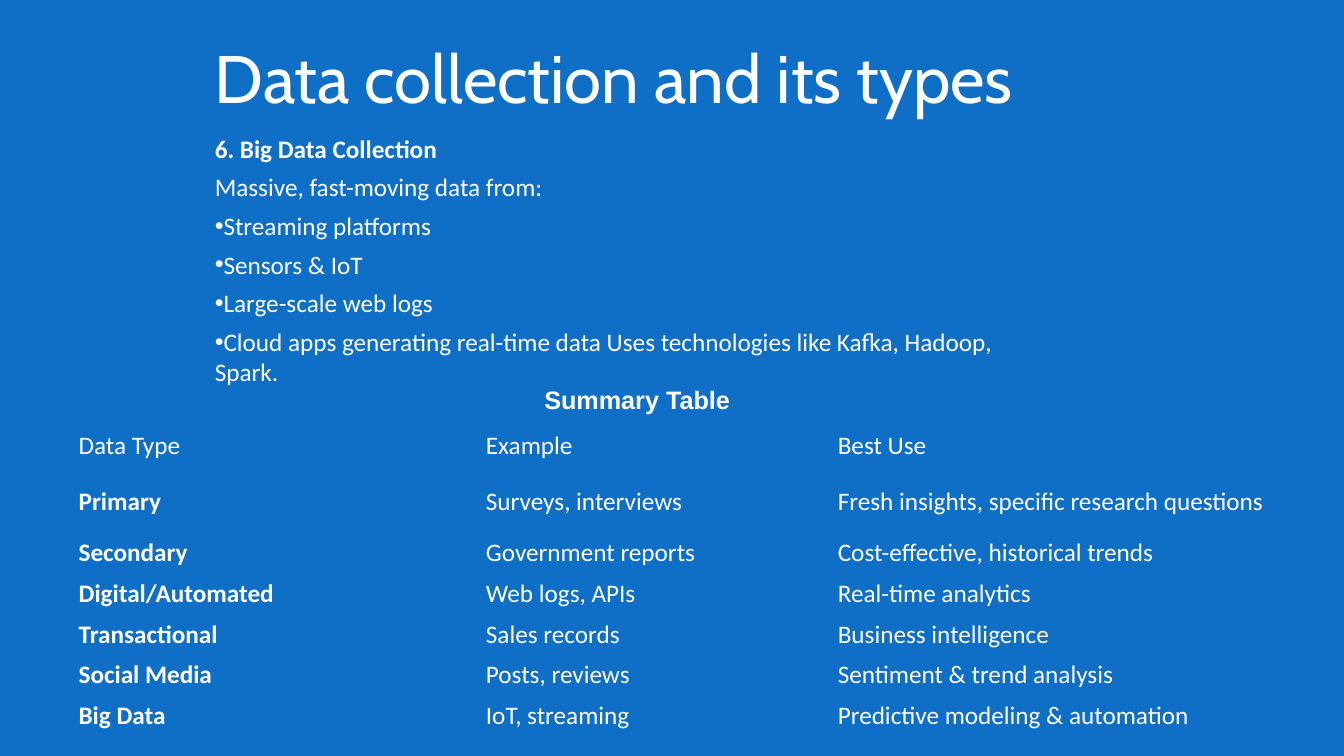
from lxml import etree
from pptx import Presentation
from pptx.dml.color import RGBColor
from pptx.enum.text import MSO_ANCHOR as Anchor, MSO_AUTO_SIZE as AutoSize, PP_ALIGN as Align
from pptx.oxml.ns import qn
from pptx.util import Emu, Pt

PX = 9144
WHITE = "FFFFFF"
BLUE = "0F6FC6"


def color(value):
    return RGBColor.from_string(value)


def format_text(paragraph, font_name, size, bold=False):
    paragraph.alignment = Align.LEFT
    paragraph.font.name = font_name
    paragraph.font.size = Pt(size)
    paragraph.font.bold = bold
    paragraph.font.color.rgb = color(WHITE)


presentation = Presentation()
presentation.slide_width = Emu(1333 * PX)
presentation.slide_height = Emu(750 * PX)
slide = presentation.slides.add_slide(presentation.slide_layouts[1])
slide.background.fill.solid()
slide.background.fill.fore_color.rgb = color(BLUE)

title = slide.shapes.title
body = slide.placeholders[1]
summary = slide.shapes.add_textbox(0, 0, 0, 0)
for shape, left, top, width, height in [
    (title, 203, 31, 859, 91),
    (body, 203, 127, 859, 234),
    (summary, 530, 376, 206, 40),
]:
    shape.left, shape.top = Emu(left * PX), Emu(top * PX)
    shape.width, shape.height = Emu(width * PX), Emu(height * PX)
    shape.text_frame.word_wrap = True
    shape.text_frame.auto_size = AutoSize.NONE
    shape.text_frame.vertical_anchor = Anchor.TOP

title.text_frame.text = "Data collection and its types"
format_text(title.text_frame.paragraphs[0], "Cabin", 48)
summary.text_frame.text = "Summary Table"
format_text(summary.text_frame.paragraphs[0], "Arial", 18, True)

body_lines = [
    "6. Big Data Collection",
    "Massive, fast-moving data from:",
    "Streaming platforms",
    "Sensors & IoT",
    "Large-scale web logs",
    "Cloud apps generating real-time data Uses technologies like Kafka, Hadoop, Spark.",
]
body.text_frame.text = "\n".join(body_lines)
for index, paragraph in enumerate(body.text_frame.paragraphs):
    properties = paragraph._p.get_or_add_pPr()
    properties.set("marL", "0")
    properties.set("indent", "0")
    if index < 2:
        etree.SubElement(properties, qn("a:buNone"))
    else:
        etree.SubElement(properties, qn("a:buFont")).set("typeface", "Arial")
        etree.SubElement(properties, qn("a:buChar")).set("char", "•")
    paragraph.space_before = Pt(0)
    paragraph.space_after = Pt(6)
    format_text(paragraph, "Calibri", 18, index == 0)

rows = [
    ("Data Type", "Example", "Best Use"),
    ("Primary", "Surveys, interviews", "Fresh insights, specific research questions"),
    ("Secondary", "Government reports", "Cost-effective, historical trends"),
    ("Digital/Automated", "Web logs, APIs", "Real-time analytics"),
    ("Transactional", "Sales records", "Business intelligence"),
    ("Social Media", "Posts, reviews", "Sentiment & trend analysis"),
    ("Big Data", "IoT, streaming", "Predictive modeling & automation"),
]
column_widths = [404, 349, 460]
row_heights = [52, 60] + [38] * 5
table = slide.shapes.add_table(
    len(rows), len(column_widths), Emu(68 * PX), Emu(416 * PX),
    Emu(sum(column_widths) * PX), Emu(sum(row_heights) * PX),
).table
table.first_row = False
table.horz_banding = False
no_grid_style = "{2D5ABB26-0587-4C30-8999-92F81FD0307C}"
table._tbl.tblPr.find(qn("a:tableStyleId")).text = no_grid_style
for column, width in zip(table.columns, column_widths):
    column.width = Emu(width * PX)
for row_index, (values, height) in enumerate(zip(rows, row_heights)):
    table.rows[row_index].height = Emu(height * PX)
    for column_index, value in enumerate(values):
        cell = table.cell(row_index, column_index)
        cell.text = value
        cell.fill.background()
        cell.vertical_anchor = Anchor.MIDDLE
        is_type_name = row_index > 0 and column_index == 0
        format_text(cell.text_frame.paragraphs[0], "Calibri", 18, is_type_name)

presentation.save("out.pptx")
